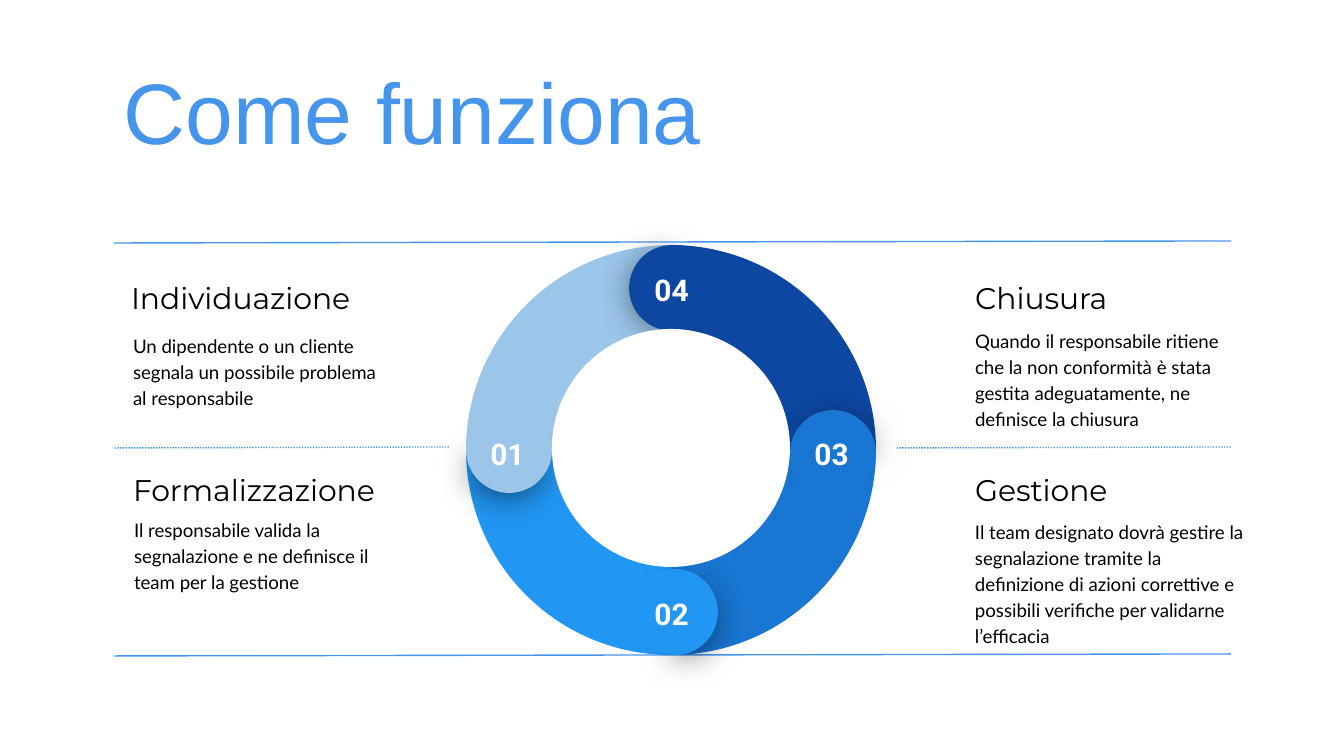
from lxml.etree import SubElement
from pptx import Presentation
from pptx.dml.color import RGBColor
from pptx.enum.dml import MSO_LINE
from pptx.enum.shapes import MSO_CONNECTOR, MSO_SHAPE
from pptx.enum.text import MSO_ANCHOR, PP_ALIGN
from pptx.oxml.ns import qn
from pptx.util import Emu, Pt

WIDTH, HEIGHT = 1344, 756
SCALE = 9144000 / WIDTH  # EMU per px
ACCENT, BLACK, WHITE = "4695EC", "000000", "FFFFFF"


def px(n):
    return Emu(round(n * SCALE))


def rgb(color):
    return RGBColor.from_string(color)


class Deck:
    inset = 13

    def __init__(self):
        self.prs = Presentation()
        self.prs.slide_width, self.prs.slide_height = px(WIDTH), px(HEIGHT)
        self.slide = self.prs.slides.add_slide(self.prs.slide_layouts[5])

    def style(self, p, font, size, color, bold=False):
        p.font.name, p.font.size, p.font.bold = font, Pt(size), bold
        p.font.color.rgb = rgb(color)

    def title(self, text, x, y, w, h):
        sp = self.slide.shapes.title
        sp.left, sp.top, sp.width, sp.height = map(px, (x, y, w, h))
        tf = sp.text_frame
        tf.text = text
        tf.vertical_anchor = MSO_ANCHOR.TOP
        p = tf.paragraphs[0]
        p.alignment = PP_ALIGN.LEFT
        self.style(p, "Arial", 46, ACCENT)

    def text(self, text, x, y, w, h, font, size, color=BLACK, bold=False,
             align=PP_ALIGN.LEFT, anchor=MSO_ANCHOR.TOP, spacing=1.0):
        tf = self.slide.shapes.add_textbox(*map(px, (x, y, w, h))).text_frame
        tf.word_wrap = True
        tf.margin_left = tf.margin_right = px(self.inset)
        tf.margin_top = tf.margin_bottom = px(self.inset)
        tf.vertical_anchor = anchor
        tf.text = text
        for p in tf.paragraphs:
            p.alignment, p.line_spacing = align, spacing
            self.style(p, font, size, color, bold)

    def line(self, x1, y1, x2, y2, dotted=False):
        ln = self.slide.shapes.add_connector(
            MSO_CONNECTOR.STRAIGHT, *map(px, (x1, y1, x2, y2)))
        ln.line.color.rgb = rgb(ACCENT)
        ln.line.width = Pt(0.75)
        if dotted:
            ln.line.dash_style = MSO_LINE.ROUND_DOT
        SubElement(ln._element.spPr, qn("a:effectLst"))

    def shape(self, kind, x, y, size, color, rotation=0, adjust=(), shadow=False):
        sp = self.slide.shapes.add_shape(kind, *map(px, (x, y, size, size)))
        sp.rotation = rotation % 360
        for i, value in enumerate(adjust):
            sp.adjustments[i] = value
        sp.fill.solid()
        sp.fill.fore_color.rgb = rgb(color)
        sp.line.fill.background()
        sp.shadow.inherit = False
        if shadow:
            self.drop_shadow(sp)

    def drop_shadow(self, sp):
        effects = sp._element.spPr.find(qn("a:effectLst"))
        outer = SubElement(effects, qn("a:outerShdw"), blurRad=str(Pt(18)),
                           dist=str(Pt(4)), dir="5400000", rotWithShape="0")
        black = SubElement(outer, qn("a:srgbClr"), val=BLACK)
        SubElement(black, qn("a:alpha"), val="55000")


# heading, (x, y, width), description, (x, y, width)
STEPS = [
    ("Individuazione", (118, 265, 273),
     "Un dipendente o un cliente segnala un possibile problema\val responsabile",
     (120, 319, 293)),
    ("Formalizzazione", (120, 457, 273),
     "Il responsabile valida la segnalazione e ne definisce il\n"
     "team per la gestione", (121, 503, 293)),
    ("Chiusura", (962, 265, 273),
     "Quando il responsabile ritiene che la non conformità è stata "
     "gestita adeguatamente, ne definisce la chiusura", (962, 314, 293)),
    ("Gestione", (962, 457, 321),
     "Il team designato dovrà gestire la segnalazione tramite la definizione "
     "di azioni correttive e possibili verifiche per validarne l’efficacia",
     (962, 505, 305)),
]

# colour, shaded cap (x, y), its angles, round cap (x, y), number (x, y)
CAP = (189.54, 83.81)
SECTORS = [
    ("9BC5E9", (468, 413), CAP, (466, 407), (470, 423)),
    ("2196F3", (637, 575), CAP, (632, 569), (634, 583)),
    ("1976D2", (797, 413), (196.87, 77.71), (790, 410), (794, 423)),
    ("0D47A1", (632, 246), CAP, (629, 245), (634, 259)),
]


def main():
    deck = Deck()
    deck.title("Come funziona", 110, 52, 1121, 118)

    # Step descriptions
    for heading, (hx, hy, hw), body, (bx, by, bw) in STEPS:
        deck.text(heading, hx, hy, hw, 66, "Montserrat", 16,
                  anchor=MSO_ANCHOR.MIDDLE)
        deck.text(body, bx, by, bw, 102, "Lato", 10, spacing=1.15)

    # Rules
    for x1, x2, y, dotted in [(114, 1231, 242, False), (114, 449, 448, True),
                              (896, 1231, 448, True), (114, 1231, 655, False)]:
        deck.line(x2, y - 1, x1, y + 1 - dotted, dotted)

    # Ring quarters, counterclockwise from 01
    for i, (color, *_) in enumerate(SECTORS):
        deck.shape(MSO_SHAPE.PIE, 466, 245, 410, color, -90 * i,
                   (107.96, 162.01))

    # Overlapping round ends with their numbers
    for i, (color, shade, angles, cap, number) in enumerate(SECTORS):
        deck.shape(MSO_SHAPE.PIE, *shade, 77, color, 39.5 - 90 * i, angles,
                   shadow=True)
        deck.shape(MSO_SHAPE.CHORD, *cap, 86, color, 4.1 - 90 * i,
                   (25.01, 18.12))
        deck.text(f"{i + 1:02}", *number, 75, 39, "Roboto", 16, WHITE,
                  bold=True, align=PP_ALIGN.CENTER)

    # Ring hole
    deck.shape(MSO_SHAPE.OVAL, 552, 329, 238, WHITE)

    deck.prs.save("out.pptx")


if __name__ == "__main__":
    main()
